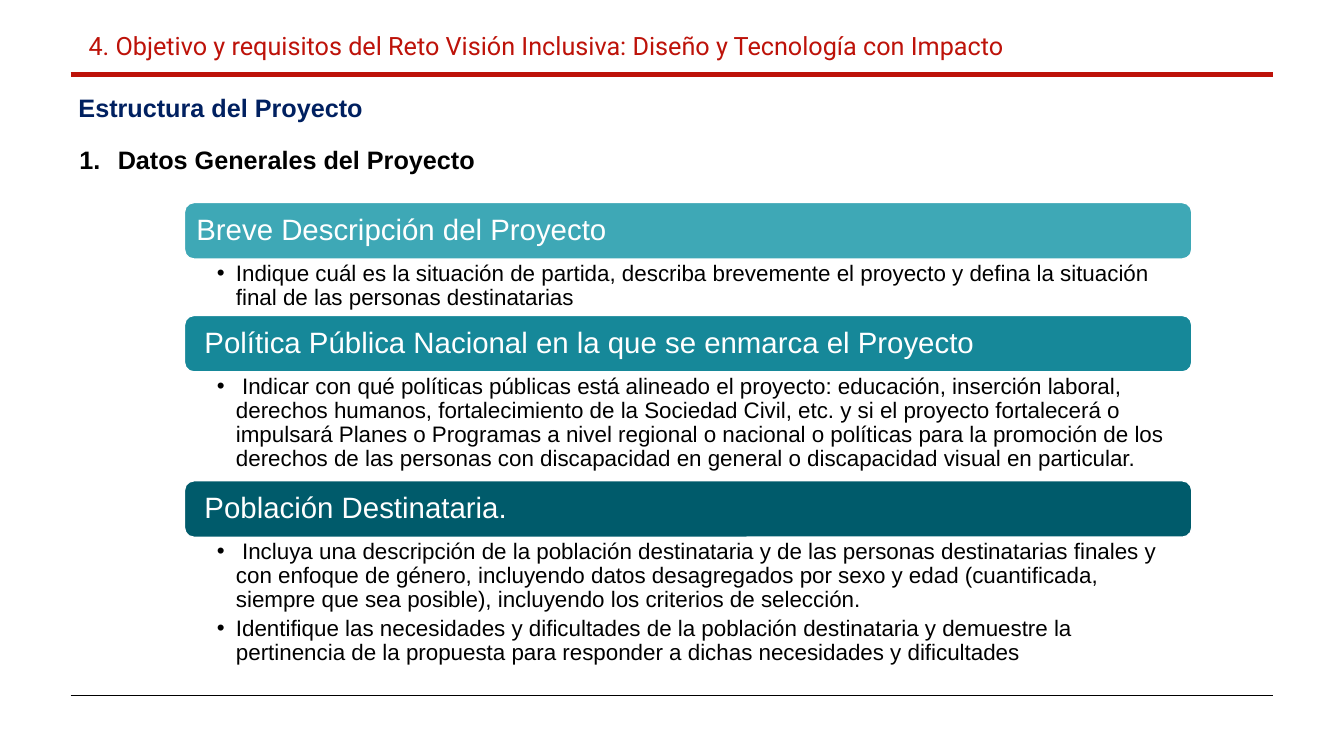
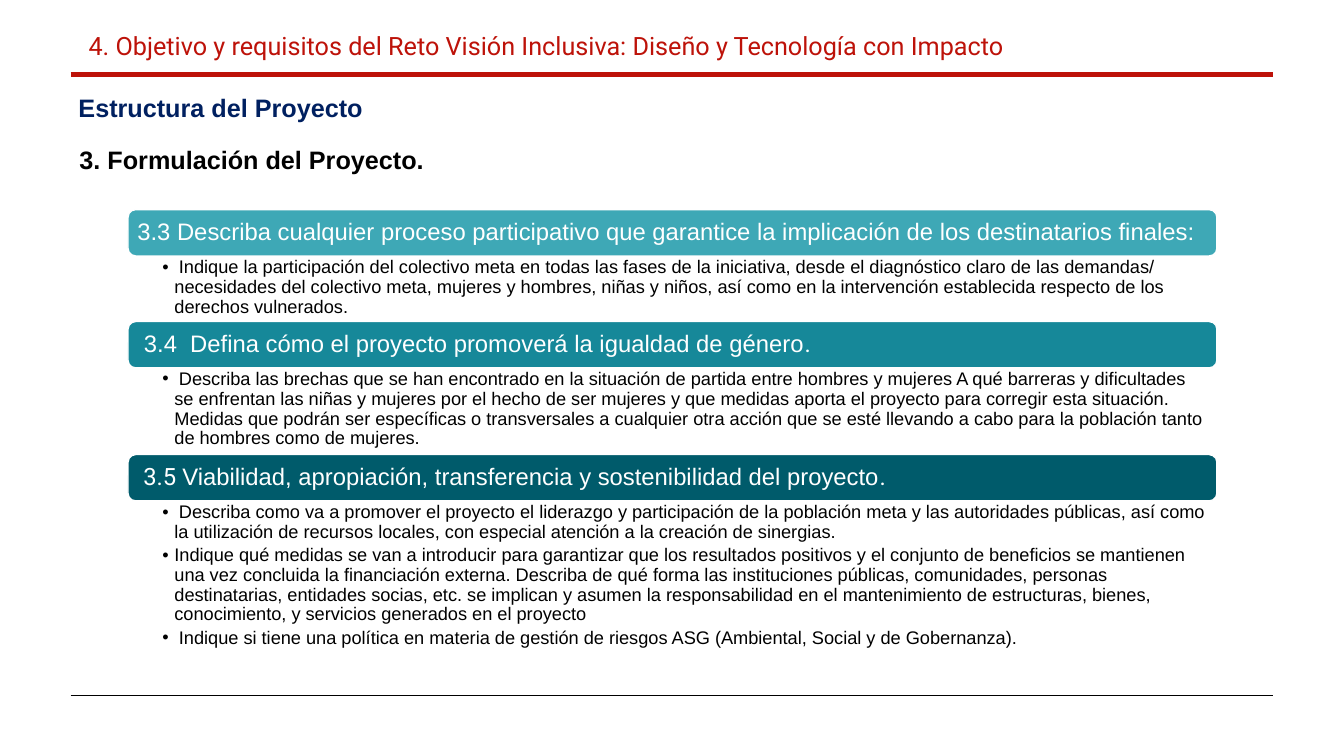
from lxml import etree
from pptx import Presentation
from pptx.dml.color import RGBColor
from pptx.enum.shapes import MSO_CONNECTOR, MSO_SHAPE
from pptx.enum.text import MSO_ANCHOR, PP_ALIGN
from pptx.oxml.ns import qn
from pptx.util import Inches, Pt

STRAIGHT = MSO_CONNECTOR.STRAIGHT
ROUNDED = MSO_SHAPE.ROUNDED_RECTANGLE
MIDDLE, TOP = MSO_ANCHOR.MIDDLE, MSO_ANCHOR.TOP
LEFT = PP_ALIGN.LEFT


class Theme:
    red = "BD1209"
    navy = "002060"
    black = "000000"
    white = "FFFFFF"
    bands = ("3EA8B6", "168899", "005B6B")
    body = "Arial"
    accent = "Roboto"
    title_size = 18


# Content: a paragraph is a list of runs; a (text, font) run leaves the body font
TITLE = "4. Objetivo y requisitos del Reto Visión Inclusiva: Diseño y Tecnología con Impacto"
SUBTITLE = "Estructura del Proyecto"
SPACE = (" ", Theme.accent)
DOT = (".", Theme.accent)

SLIDES = [
    {
        "heading": "Datos Generales del Proyecto", "numbered": True,
        "left": 1.83, "top": 2.01, "width": 9.99, "band": 0.56,
        "band_size": 21, "band_inset": 0.09,
        "size": 16, "insets": (0.32, 0.03, 0.16, 0.03), "indent": 0.19,
        "sections": [
            (["Breve Descripción del Proyecto"], 0.56, [
                ["Indique cuál es la situación de partida, describa brevemente el proyecto y "
                 "defina la situación final de las personas destinatarias"],
            ]),
            ([" Política Pública Nacional en la que se enmarca el Proyecto"], 1.08, [
                [" Indicar con qué políticas públicas está alineado el proyecto: educación, "
                 "inserción laboral, derechos humanos, fortalecimiento de la Sociedad Civil, etc. "
                 "y si el proyecto fortalecerá o impulsará Planes o Programas a nivel regional o "
                 "nacional o políticas para la promoción de los derechos de las personas con "
                 "discapacidad en general o discapacidad visual en particular."],
            ]),
            ([" Población Destinataria."], 1.35, [
                [" Incluya una descripción de la población destinataria y de las personas "
                 "destinatarias finales y con enfoque de género, incluyendo datos desagregados "
                 "por sexo y edad (cuantificada, siempre que sea posible), incluyendo los "
                 "criterios de selección."],
                ["Identifique las necesidades y dificultades de la población destinataria y "
                 "demuestre la pertinencia de la propuesta para responder a dichas necesidades "
                 "y dificultades"],
            ]),
        ],
    },
    {
        "heading": "3. Formulación del Proyecto.", "numbered": False,
        "left": 1.27, "top": 2.08, "width": 10.8, "band": 0.46,
        "band_size": 17, "band_inset": 0.07,
        "size": 13, "insets": (0.34, 0.02, 0.13, 0.02), "indent": 0.12,
        "sections": [
            (["3.3 Describa cualquier proceso participativo que garantice la implicación de "
              "los destinatarios finales:"], 0.65, [
                [SPACE,
                 "Indique la participación del colectivo meta en todas las fases de la iniciativa, "
                 "desde el diagnóstico claro de las demandas/ necesidades del colectivo meta, "
                 "mujeres y hombres, niñas y niños, así como en la intervención establecida "
                 "respecto de los derechos vulnerados."],
            ]),
            ([" 3.4  Defina cómo el proyecto promoverá la igualdad de género", DOT], 0.86, [
                [SPACE,
                 "Describa las brechas que se han encontrado en la situación de partida entre "
                 "hombres y mujeres A qué barreras y dificultades se enfrentan las niñas y mujeres "
                 "por el hecho de ser mujeres y que medidas aporta el proyecto para corregir esta "
                 "situación. Medidas que podrán ser específicas o transversales a cualquier otra "
                 "acción que se esté llevando a cabo para la población tanto de hombres como de "
                 "mujeres."],
            ]),
            ([(" 3.5 ", Theme.accent),
              "Viabilidad, apropiación, transferencia y sostenibilidad del proyecto", DOT], 1.58, [
                [SPACE,
                 "Describa como va a promover el proyecto el liderazgo y participación de la "
                 "población meta y las autoridades públicas, así como la utilización de recursos "
                 "locales, con especial atención a la creación de sinergias."],
                ["Indique qué medidas se van a introducir para garantizar que los resultados "
                 "positivos y el conjunto de beneficios se mantienen una vez concluida la "
                 "financiación externa. Describa de qué forma las instituciones públicas, "
                 "comunidades, personas destinatarias, entidades socias, etc. se implican y asumen "
                 "la responsabilidad en el mantenimiento de estructuras, bienes, conocimiento, y "
                 "servicios generados en el proyecto"],
                [SPACE,
                 "Indique si tiene una política en materia de gestión de riesgos ASG (Ambiental, "
                 "Social y de Gobernanza)."],
            ]),
        ],
    },
]


# Helpers
def rgb(color):
    return RGBColor.from_string(color)


def add_rule(slide, y, color, weight):
    line = slide.shapes.add_connector(STRAIGHT, Inches(0.7), Inches(y), Inches(12.63), Inches(y))
    line.line.color.rgb = rgb(color)
    line.line.width = Pt(weight)
    etree.SubElement(line._element.spPr, qn("a:effectLst"))


def set_bullet(p, indent, tag, **attrs):
    pPr = p._p.get_or_add_pPr()
    pPr.set("marL", str(Inches(indent)))
    pPr.set("indent", str(-Inches(indent)))
    etree.SubElement(pPr, qn("a:buFont"), typeface=Theme.body)
    etree.SubElement(pPr, qn(tag), **attrs)


def fill_text(sp, paragraphs, size, color, bold=False, insets=(0.1, 0.05, 0.1, 0.05),
              anchor=TOP, spacing=1.0, after=0):
    tf = sp.text_frame
    tf.word_wrap = True
    tf.vertical_anchor = anchor
    tf.margin_left, tf.margin_top, tf.margin_right, tf.margin_bottom = map(Inches, insets)
    for i, runs in enumerate(paragraphs):
        p = tf.add_paragraph() if i else tf.paragraphs[0]
        p.alignment = LEFT
        p.line_spacing = spacing
        p.space_after = Pt(after)
        for run in runs:
            r = p.add_run()
            r.text, r.font.name = (run, Theme.body) if isinstance(run, str) else run
            r.font.size = Pt(size)
            r.font.bold = bold
            r.font.color.rgb = rgb(color)
    return tf


def add_text(slide, box, paragraphs, size, color, **style):
    sp = slide.shapes.add_textbox(*map(Inches, box))
    return fill_text(sp, paragraphs, size, color, **style)


def add_band(slide, box, runs, color, data):
    sp = slide.shapes.add_shape(ROUNDED, *map(Inches, box))
    sp.shadow.inherit = False
    sp.fill.solid()
    sp.fill.fore_color.rgb = rgb(color)
    sp.line.color.rgb = rgb(Theme.white)
    sp.line.width = Pt(1)
    fill_text(sp, [runs], data["band_size"], Theme.white,
              insets=(data["band_inset"],) * 4, anchor=MIDDLE, spacing=0.9)


# Slide parts
def add_frame(slide, data):
    add_rule(slide, 0.74, Theme.red, 3)
    add_rule(slide, 6.9, Theme.black, 0.5)
    size = Theme.title_size
    add_text(slide, (0.78, 0.25, 9.98, 0.4), [[(TITLE, Theme.accent)]], size, Theme.red)
    add_text(slide, (0.68, 0.87, 11.78, 0.4), [[SUBTITLE]], size, Theme.navy, bold=True)
    tf = add_text(slide, (0.69, 1.38, 7.77, 0.4), [[data["heading"]]], size, Theme.black,
                  bold=True)
    if data["numbered"]:
        set_bullet(tf.paragraphs[0], 0.38, "a:buAutoNum", type="arabicPeriod")


def add_sections(slide, data):
    left, y, width, band = (data[key] for key in ("left", "top", "width", "band"))
    for color, (heading, height, bullets) in zip(Theme.bands, data["sections"]):
        add_band(slide, (left, y, width, band), heading, color, data)
        y += band
        tf = add_text(slide, (left, y, width, height), bullets, data["size"], Theme.black,
                      insets=data["insets"], spacing=0.9, after=data["size"] * 0.2)
        for p in tf.paragraphs:
            set_bullet(p, data["indent"], "a:buChar", char="•")
        y += height


def main():
    prs = Presentation()
    prs.slide_width, prs.slide_height = Inches(13.33), Inches(7.5)
    for data in SLIDES:
        slide = prs.slides.add_slide(prs.slide_layouts[6])
        add_frame(slide, data)
        add_sections(slide, data)
    prs.save("out.pptx")


if __name__ == "__main__":
    main()
